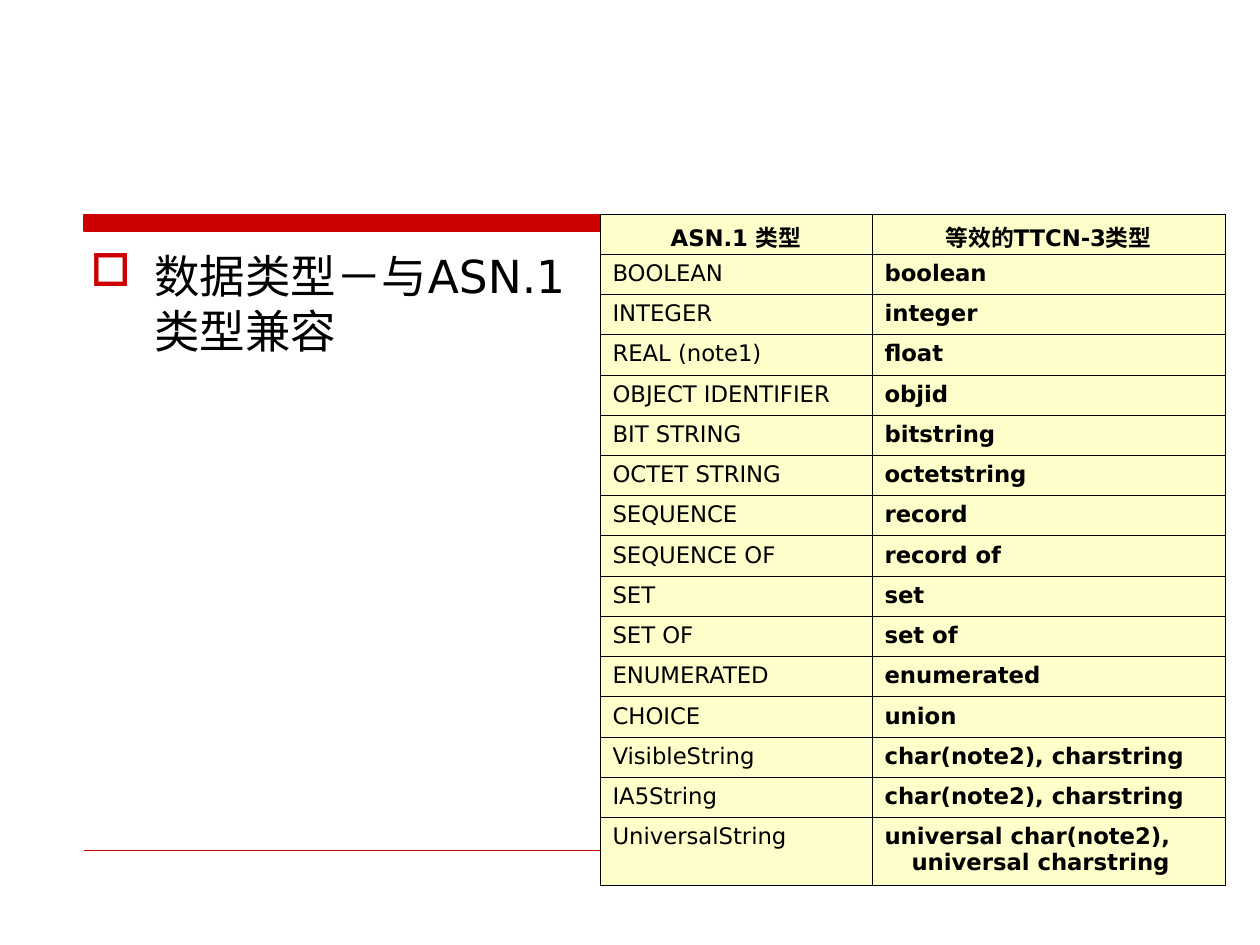
import pptx
import pptx.util
import pptx.oxml
import pptx.oxml.ns
import pptx.dml.color
import pptx.enum.shapes
import pptx.enum.text

SCALE = 914400 / 126
FONT = "DejaVu Sans"
COLORS = {"red": "CC0000", "ink": "000000", "cream": "FDFECA"}
ALIGN = pptx.enum.text.PP_ALIGN

BODY = {"size": pptx.util.Pt(26), "bold": False}
HEAD = {"size": pptx.util.Pt(13), "bold": True}
LEFT = {"size": pptx.util.Pt(13), "bold": False}

TYPES = [
    ("ASN.1 类型", "等效的TTCN-3类型"),
    ("BOOLEAN", "boolean"),
    ("INTEGER", "integer"),
    ("REAL (note1)", "float"),
    ("OBJECT IDENTIFIER", "objid"),
    ("BIT STRING", "bitstring"),
    ("OCTET STRING", "octetstring"),
    ("SEQUENCE", "record"),
    ("SEQUENCE OF", "record of"),
    ("SET", "set"),
    ("SET OF", "set of"),
    ("ENUMERATED", "enumerated"),
    ("CHOICE", "union"),
    ("VisibleString", "char(note2), charstring"),
    ("IA5String", "char(note2), charstring"),
    ("UniversalString", "universal char(note2),\vuniversal charstring"),
]


def px(n):
    return pptx.util.Emu(round(n * SCALE))


def rgb(name):
    return pptx.dml.color.RGBColor.from_string(COLORS[name])


def add_xml(node, text):
    space = pptx.oxml.ns.nsdecls("a")
    node.append(pptx.oxml.parse_xml(text.replace(" ", f" {space} ", 1)))


def paint(item, name):
    item.fill.solid()
    item.fill.fore_color.rgb = rgb(name)


def write(para, text, style, indent):
    para.text = text
    for key, value in {"name": FONT, **style}.items():
        setattr(para.font, key, value)
    para.font.color.rgb = rgb("ink")
    # Hanging indent
    props = para._p.get_or_add_pPr()
    props.set("marL", str(px(indent)))
    props.set("indent", str(-px(indent)))
    return props


def add_bar(slide):
    # Thick block that runs on as a thin rule
    pen = slide.shapes.build_freeform(84, 215, scale=SCALE)
    pen.add_line_segments([(726, 215), (726, 231), (84, 231)], close=True)
    pen.move_to(84, 215)
    pen.add_line_segments([(1181, 215)], close=False)
    bar = pen.convert_to_shape()
    bar.shadow.inherit = False
    paint(bar, "red")
    bar.line.color.rgb = rgb("red")
    bar.line.width = pptx.util.Pt(0.75)


def add_rule(slide):
    kind = pptx.enum.shapes.MSO_CONNECTOR.STRAIGHT
    rule = slide.shapes.add_connector(kind, px(84), px(850), px(1176), px(850))
    rule.line.color.rgb = rgb("red")
    rule.line.width = pptx.util.Pt(0.25)
    add_xml(rule._element.spPr, "<a:effectLst />")


def add_point(slide, text):
    box = slide.shapes.add_textbox(px(78), px(242), px(541), px(142))
    box.text_frame.word_wrap = True
    para = box.text_frame.paragraphs[0]
    para.space_before = pptx.util.Pt(6.5)
    props = write(para, text, BODY, 64)
    add_xml(props, f'<a:buClr ><a:srgbClr val="{COLORS["red"]}"/></a:buClr>')
    add_xml(props, '<a:buChar char="□"/>')


def frame(cell):
    props = cell._tc.get_or_add_tcPr()
    for side in "LRTB":
        add_xml(props, f'<a:ln{side} w="{pptx.util.Pt(0.45)}"><a:solidFill>'
                       f'<a:srgbClr val="{COLORS["ink"]}"/></a:solidFill></a:ln{side}>')


def add_types(slide, rows):
    shape = slide.shapes.add_table(len(rows), 2, px(600), px(214), px(625), px(672))
    table = shape.table
    for key in ("first_row", "horz_banding"):
        setattr(table, key, False)
    for col, width in zip(table.columns, (272, 353)):
        col.width = px(width)
    # Equal rows, with a taller last one for its two lines
    for row in table.rows:
        row.height = px(604) // 15
    table.rows[len(rows) - 1].height = px(68)

    for r, texts in enumerate(rows):
        for c, text in enumerate(texts):
            cell = table.cell(r, c)
            frame(cell)
            paint(cell, "cream")
            para = cell.text_frame.paragraphs[0]
            para.alignment = ALIGN.LEFT if r else ALIGN.CENTER
            style = LEFT if r and not c else HEAD
            write(para, text, style, 27 if r and c else 64)


def main():
    deck = pptx.Presentation()
    deck.slide_width, deck.slide_height = px(1260), px(945)
    slide = deck.slides.add_slide(deck.slide_layouts[6])
    add_bar(slide)
    add_rule(slide)
    add_point(slide, "数据类型－与ASN.1类型兼容")
    add_types(slide, TYPES)
    deck.save("out.pptx")


if __name__ == "__main__":
    main()
